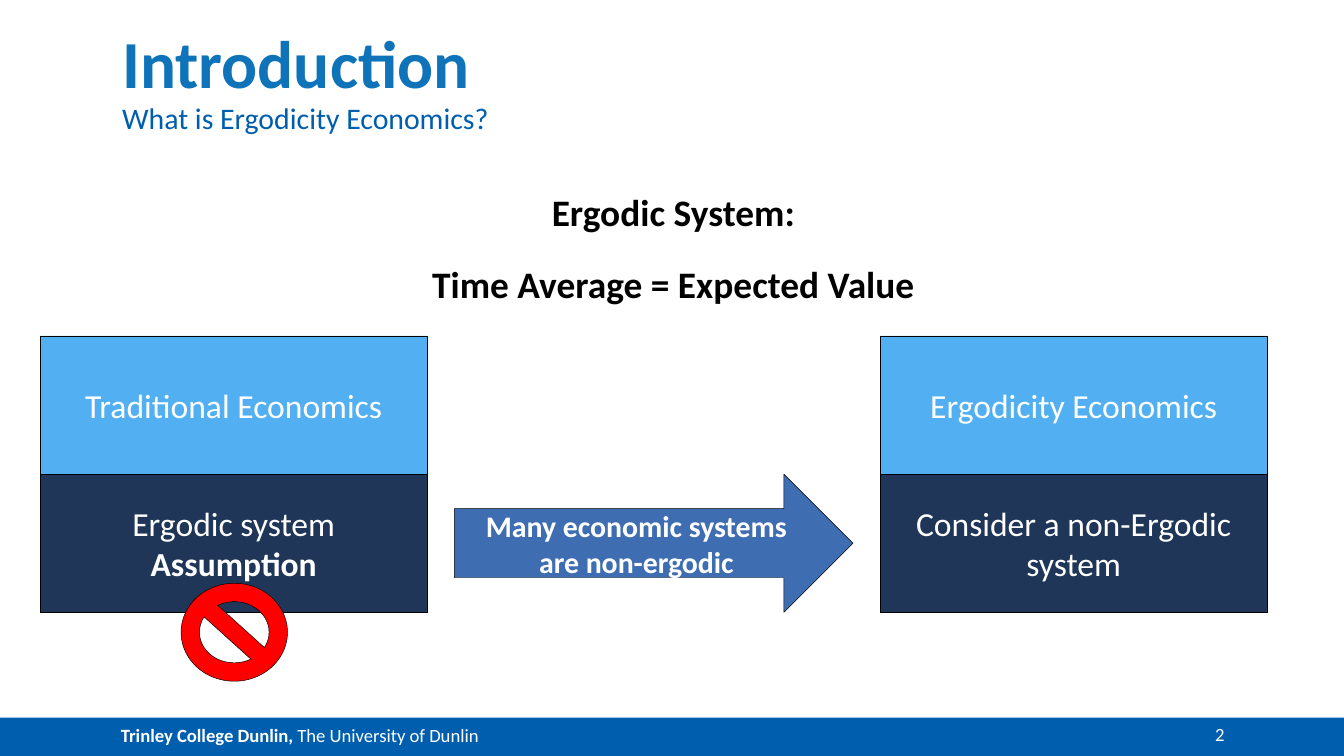
import dataclasses

import pptx
import pptx.dml.color
import pptx.enum.shapes
import pptx.enum.text
import pptx.util

Pt = pptx.util.Pt
Form = pptx.enum.shapes.MSO_SHAPE
Align = pptx.enum.text.PP_ALIGN
Anchor = pptx.enum.text.MSO_ANCHOR


@dataclasses.dataclass(frozen=True)
class Theme:
    font: str = "Calibri"
    bar: str = "005EAE"
    title: str = "0E73B9"
    light: str = "52B0F2"
    dark: str = "1F3659"
    arrow: str = "3E6DB2"
    ban: str = "FF0000"
    black: str = "000000"
    white: str = "FFFFFF"
    huge: int = 36
    big: int = 20
    mid: int = 18
    small: int = 16
    tiny: int = 10


theme = Theme()
rgb = pptx.dml.color.RGBColor.from_string


def write(shape, paras, size, color, align=Align.CENTER, anchor=Anchor.MIDDLE, inset=None):
    """Fill a shape with paragraphs, each a list of (text, bold) runs."""
    frame = shape.text_frame
    frame.word_wrap = True
    frame.vertical_anchor = anchor
    if inset is not None:
        frame.margin_left = frame.margin_right = Pt(inset)
        frame.margin_top = frame.margin_bottom = Pt(inset)
    for i, runs in enumerate(paras):
        para = frame.add_paragraph() if i else frame.paragraphs[0]
        para.alignment = align
        if i:
            para.space_before = Pt(14.2)
        for text, bold in runs:
            run = para.add_run()
            run.text = text
            run.font.name = theme.font
            run.font.size = Pt(size)
            run.font.bold = bold
            run.font.color.rgb = rgb(color)


def draw(form, box, fill, edge=True):
    shape = slide.shapes.add_shape(form, *map(Pt, box))
    shape.shadow.inherit = False
    shape.fill.solid()
    shape.fill.fore_color.rgb = rgb(fill)
    if edge:
        shape.line.color.rgb = rgb(theme.black)
        shape.line.width = Pt(0.25)
    else:
        shape.line.fill.background()
    return shape


deck = pptx.Presentation()
deck.slide_width, deck.slide_height = Pt(720), Pt(405)
slide = deck.slides.add_slide(deck.slide_layouts[6])

# Footer bar
foot = 384.5
bar = draw(Form.RECTANGLE, (0, foot, 720, 21.5), theme.bar, edge=False)
write(bar, [[("Trinley College Dunlin, ", True), ("The University of Dunlin", False)]],
      theme.tiny, theme.white, Align.LEFT, Anchor.TOP)
bar.text_frame.margin_left = Pt(64.8)

# Headings, key statement and page number
left, wide = 65.5, 590.5
labels = [
    ((left, 21.6, wide, 33), [[("Introduction", True)]],
     theme.huge, theme.title, Align.LEFT, Anchor.BOTTOM),
    ((left, 53.3, wide, 16.5), [[("What is Ergodicity Economics?", False)]],
     theme.small, theme.bar, Align.LEFT, Anchor.TOP),
    ((left, 101.5, wide, 49.7),
     [[("Ergodic System:", True)], [("Time Average = Expected Value", True)]],
     theme.big, theme.black, Align.CENTER, Anchor.TOP),
    ((633, foot, 23, 15), [[("2", False)]],
     theme.tiny, theme.white, Align.RIGHT, Anchor.BOTTOM),
]
for box, paras, size, color, align, anchor in labels:
    label = slide.shapes.add_textbox(*map(Pt, box))
    write(label, paras, size, color, align, anchor, inset=0)

# Two stacks: school of thought above, its view below
top, width, height = 180, 207.5, 74
stacks = [
    (21.5, [("Traditional Economics", False)],
     [("Ergodic system ", False), ("Assumption", True)]),
    (471.5, [("Ergodicity Economics", False)],
     [("Consider a non-Ergodic system", False)]),
]
for x, *cells in stacks:
    for row, (runs, fill) in enumerate(zip(cells, (theme.light, theme.dark))):
        cell = draw(Form.RECTANGLE, (x, top + row * height, width, height), fill)
        write(cell, [runs], theme.mid, theme.white)

# Ban sign on the assumption, arrow to the new view
draw(Form.NO_SYMBOL, (97, 312.5, 57, 52.5), theme.ban)
arrow = draw(Form.RIGHT_ARROW, (243.5, top + height, 213.5, height), theme.arrow)
write(arrow, [[("Many economic systems are non-ergodic", True)]], theme.small, theme.white)

deck.save("out.pptx")
